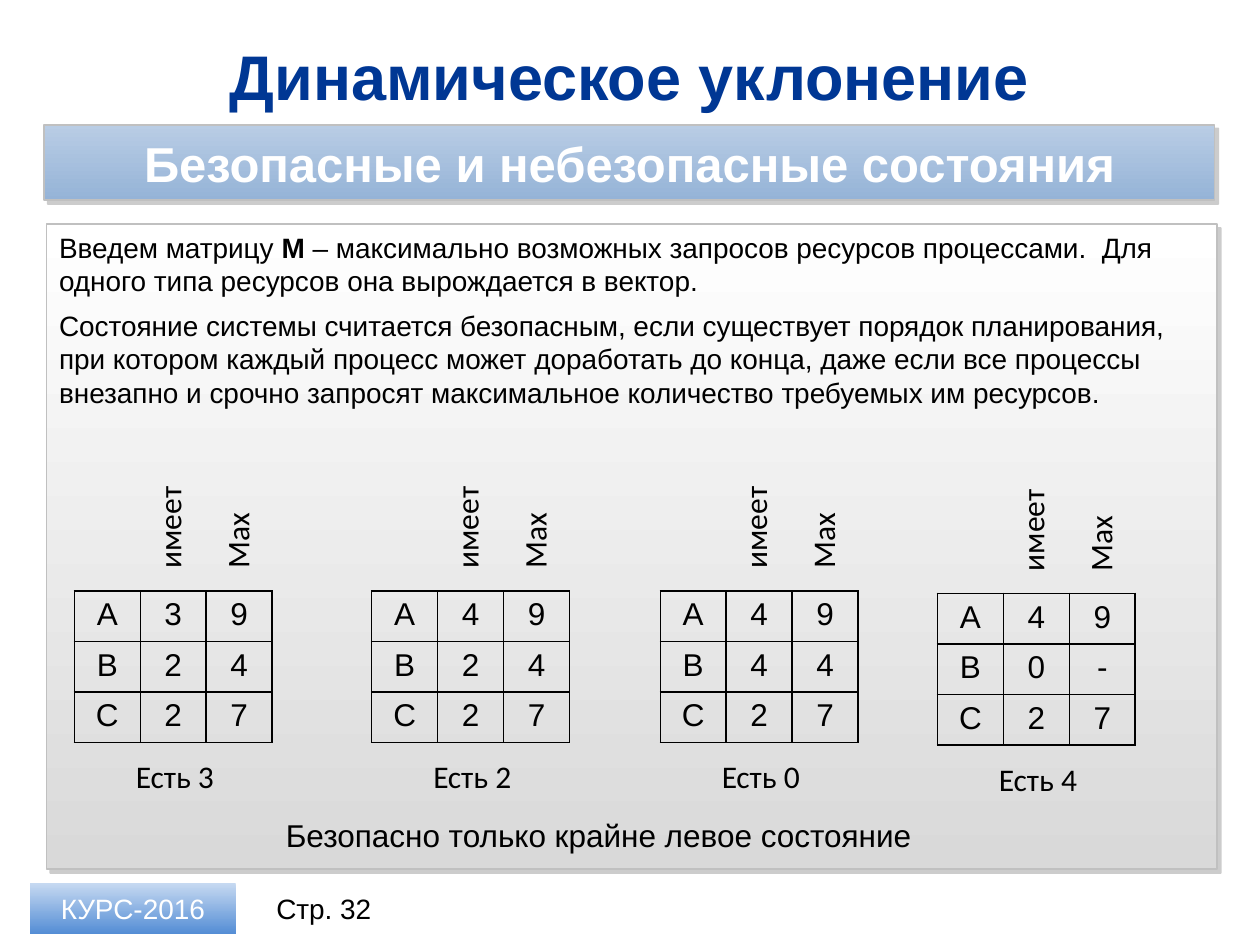
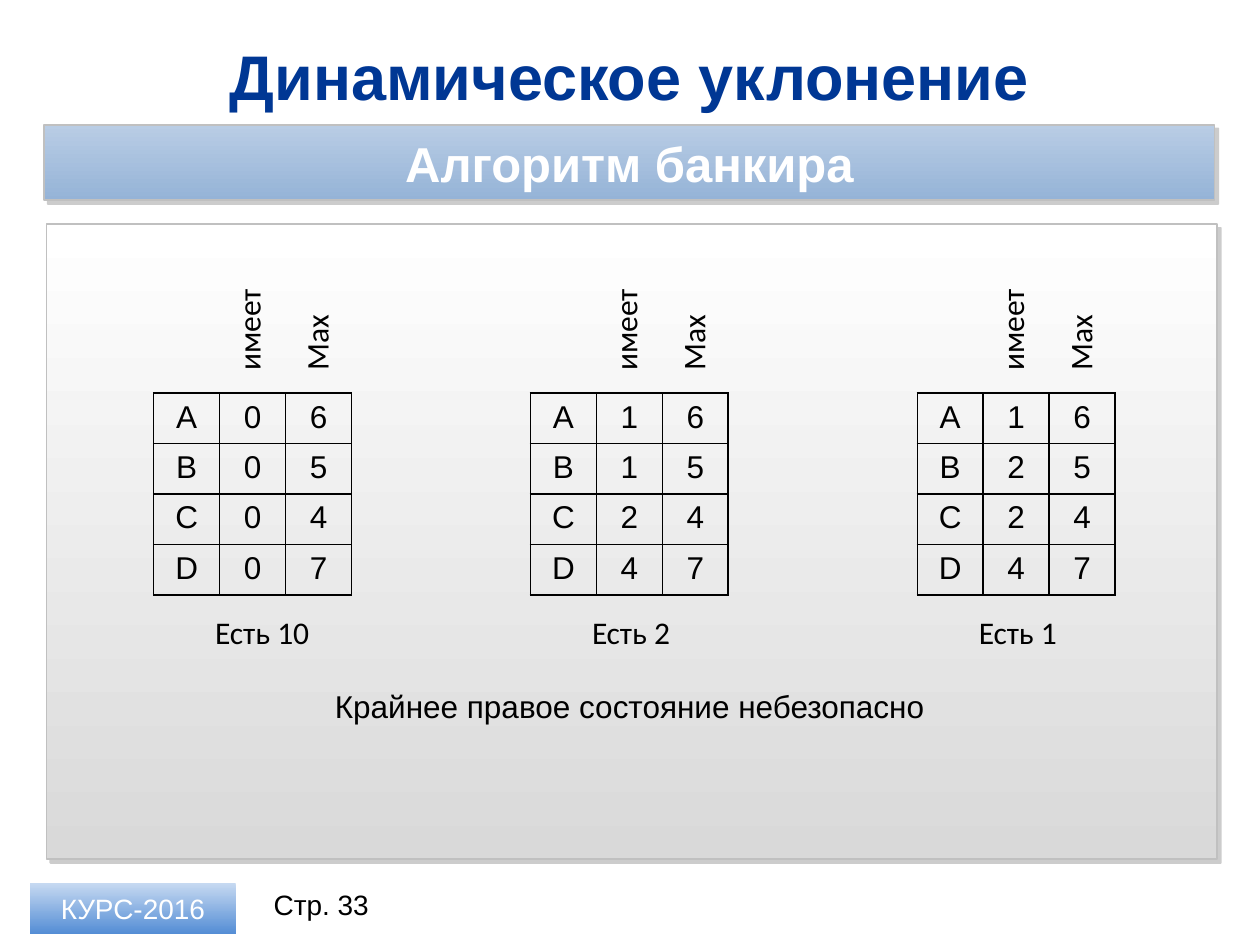
"""Two lecture slides on safe system states and the banker's algorithm."""
from lxml.etree import SubElement
from pptx import Presentation
from pptx.dml.color import RGBColor
from pptx.enum.shapes import MSO_SHAPE as SHAPE
from pptx.enum.text import MSO_ANCHOR as ANCHOR, PP_ALIGN as ALIGN
from pptx.oxml.ns import qn
from pptx.util import Inches, Pt

TITLE = "Динамическое уклонение"
FOOTER = "КУРС-2016"
HEADINGS = [("имеет", 0.28), ("Max", 0.82)]
NAVY, WHITE, BLACK, EDGE, SHADE = "003794", "FFFFFF", "000000", "C0C0C0", "808080"
PANEL_FILL = ("FFFFFF", "D9D9D9")
BAND_FILL = ("B9CDE5", "95B3D7")
FOOTER_FILL = ("C6D9F1", "558ED5")
MARGIN, WIDTH, TABLE_WIDTH = 0.35, 9.29, 1.57

SLIDES = [
    {
        "band": "Безопасные и небезопасные состояния",
        "page": ("Стр. 32", 2.03, 7.01),
        "panel_height": 5.12,
        "free_gap": 0.07,
        "states": [
            (0.59, 4.69, 0.4, ["A39", "B24", "C27"], "Есть 3"),
            (2.95, 4.69, 0.4, ["A49", "B24", "C27"], "Есть 2"),
            (5.24, 4.69, 0.4, ["A49", "B44", "C27"], "Есть 0"),
            (7.44, 4.71, 0.4, ["A49", "B0-", "C27"], "Есть 4"),
        ],
        "conclusion": ("Безопасно только крайне левое состояние", 2.17, 6.43, 5.28),
        "intro": [
            [("Введем матрицу ", False), ("М", True),
             (" – максимально возможных запросов ресурсов процессами.  Для одного "
              "типа ресурсов она вырождается в вектор.", False)],
            [("Состояние системы считается безопасным, если существует порядок "
              "планирования, при котором каждый процесс может доработать до конца, "
              "даже если все процессы внезапно и срочно запросят максимальное "
              "количество требуемых им ресурсов.", False)],
        ],
    },
    {
        "band": "Алгоритм банкира",
        "page": ("Стр. 33", 2.01, 6.98),
        "panel_height": 5.04,
        "free_gap": 0.1,
        "states": [
            (1.22, 3.12, 0.38, ["A06", "B05", "C04", "D07"], "Есть 10"),
            (4.21, 3.12, 0.4, ["A16", "B15", "C24", "D47"], "Есть 2"),
            (7.28, 3.12, 0.4, ["A16", "B25", "C24", "D47"], "Есть 1"),
        ],
        "conclusion": ("Крайнее правое состояние небезопасно", 2.56, 5.4, 4.96),
        "intro": [],
    },
]


def color(value):
    return RGBColor.from_string(value)


def box(*lengths):
    return [Inches(length) for length in lengths]


def add_run(p, text, size, ink=BLACK, font="Arial", bold=False):
    r = p.add_run()
    r.text = text
    r.font.name, r.font.size, r.font.bold = font, Pt(size), bold
    r.font.color.rgb = color(ink)


def write(tf, text, size, align=ALIGN.LEFT, anchor=ANCHOR.TOP, **style):
    tf.word_wrap, tf.vertical_anchor = True, anchor
    p = tf.paragraphs[0]
    p.alignment = align
    add_run(p, text, size, **style)


def add_text(s, text, place, size=18, rotation=0, **style):
    sp = s.shapes.add_textbox(*box(*place))
    sp.rotation = rotation
    write(sp.text_frame, text, size, **style)


def add_gradient(s, place, fill, framed=True):
    sp = s.shapes.add_shape(SHAPE.RECTANGLE, *box(*place))
    sp.fill.gradient()
    sp.fill.gradient_angle = 270
    for stop, value in zip(sp.fill.gradient_stops, fill):
        stop.color.rgb = color(value)
    sp.shadow.inherit = False
    if not framed:
        sp.line.fill.background()
        return sp
    sp.line.color.rgb, sp.line.width = color(EDGE), Pt(1)
    effects = sp._element.spPr.find(qn("a:effectLst"))
    shadow = SubElement(effects, qn("a:outerShdw"), blurRad="0", dist=str(Pt(3)),
                        dir="2700000", algn="tl", rotWithShape="0")
    tint = SubElement(shadow, qn("a:srgbClr"), val=SHADE)
    SubElement(tint, qn("a:alpha"), val="40000")
    return sp


def add_borders(cell):
    tcPr = cell._tc.get_or_add_tcPr()
    for side in "LRTB":
        line = SubElement(tcPr, qn(f"a:ln{side}"), w=str(Pt(1)))
        SubElement(SubElement(line, qn("a:solidFill")), qn("a:srgbClr"), val=BLACK)


def add_state(s, left, top, row_height, rows, free, free_gap):
    place = box(left, top, TABLE_WIDTH, row_height * len(rows))
    table = s.shapes.add_table(len(rows), len(rows[0]), *place).table
    table.first_row = table.horz_banding = False
    for i, row in enumerate(rows):
        for j, value in enumerate(row):
            cell = table.cell(i, j)
            add_borders(cell)
            cell.fill.background()
            write(cell.text_frame, value, 18, ALIGN.CENTER)
    for text, offset in HEADINGS:
        add_text(s, text, (left + offset, top - 0.75, 0.94, 0.4), rotation=270,
                 font="Calibri")
    free_top = top + 0.4 * len(rows) + free_gap
    add_text(s, free, (left + 0.39, free_top, 1.02, 0.4), font="Calibri")


def add_intro(s, paragraphs):
    tf = s.shapes.add_textbox(*box(0.37, 1.78, WIDTH, 1.53)).text_frame
    tf.word_wrap = True
    for i, runs in enumerate(paragraphs):
        p = tf.add_paragraph() if i else tf.paragraphs[0]
        p.space_before = Pt(6 if i else 0)
        for text, bold in runs:
            add_run(p, text, 16, bold=bold)


def add_frame(s, content):
    centred = {"align": ALIGN.CENTER, "anchor": ANCHOR.MIDDLE}
    title = s.shapes.title
    title.left, title.top, title.width, title.height = box(MARGIN, 0.26, WIDTH, 0.68)
    write(title.text_frame, TITLE, 36, ink=NAVY, bold=True, **centred)
    page, left, top = content["page"]
    add_text(s, page, (left, top, 1.08, 0.4), 16, **centred)
    footer = add_gradient(s, (0.24, 7.01, 1.63, 0.4), FOOTER_FILL, framed=False)
    write(footer.text_frame, FOOTER, 16, ink=WHITE, **centred)
    add_gradient(s, (0.37, 1.78, WIDTH, content["panel_height"]), PANEL_FILL)
    band = add_gradient(s, (MARGIN, 0.99, WIDTH, 0.6), BAND_FILL)
    write(band.text_frame, content["band"], 28, ink=WHITE, bold=True, **centred)


def main():
    prs = Presentation()
    prs.slide_width, prs.slide_height = box(10, 7.5)
    for content in SLIDES:
        s = prs.slides.add_slide(prs.slide_layouts.get_by_name("Title Only"))
        add_frame(s, content)
        for state in content["states"]:
            add_state(s, *state, content["free_gap"])
        conclusion, left, top, width = content["conclusion"]
        add_text(s, conclusion, (left, top, width, 0.4))
        if content["intro"]:
            add_intro(s, content["intro"])
    prs.save("out.pptx")


if __name__ == "__main__":
    main()
